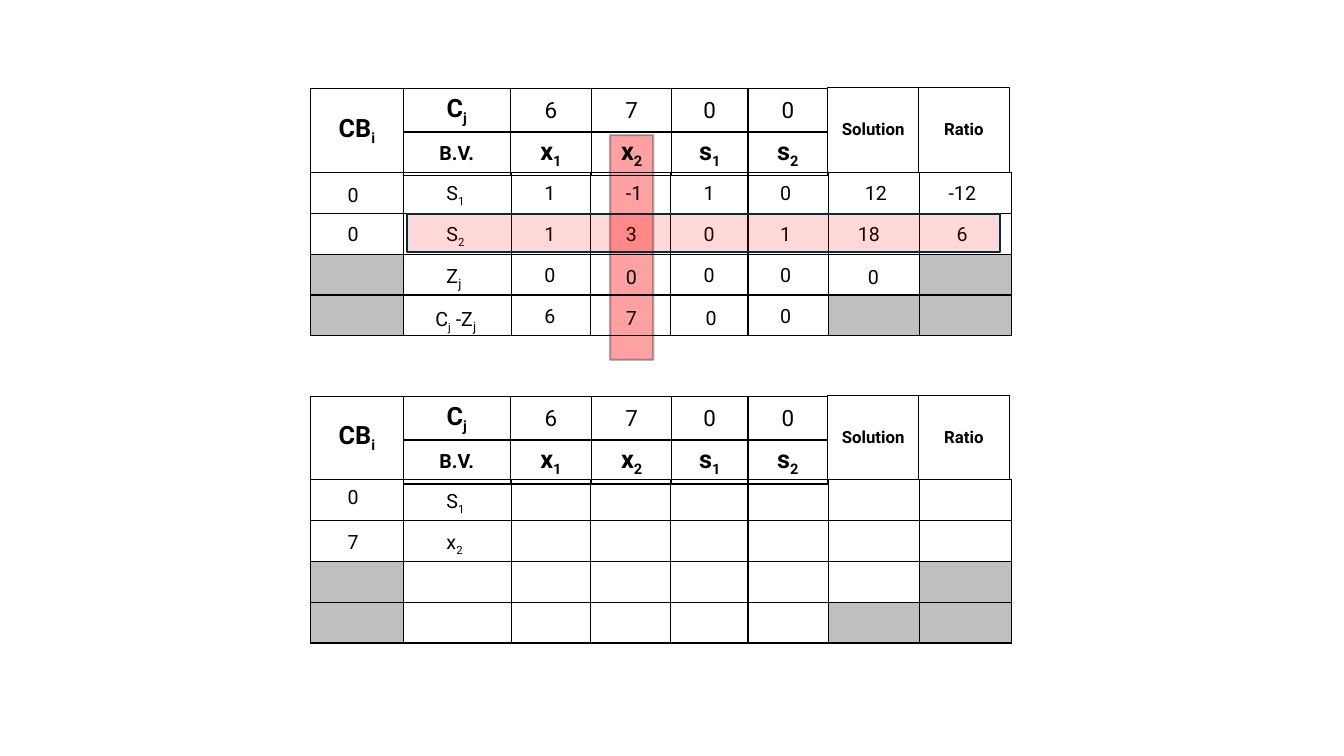
import pptx
import pptx.util
import pptx.dml.color
import pptx.enum.shapes
import pptx.enum.text
import pptx.oxml
import pptx.oxml.ns

# ---- Content: "_" lowers the next letter, "~" lowers it in the larger size ----
COSTS = ["C_j", "6", "7", "0", "0"]
BASIS = ["B.V.", "x_1", "x_2", "s_1", "s_2"]
CORNER = ["CB_i"]
RESULTS = ["Solution", "Ratio"]
SOLVED_ROWS = [
    ["0", "S_1", "1", "-1", "1", "0", "12", "-12"],
    ["0", "S_2", "1", "3", "0", "1", "18", "6"],
    ["", "Z~j", "0", "0", "0", "0", "0", ""],
    ["", "C_j -Z~j", "6", "7", "0", "0", "", ""],
]
NEXT_ROWS = [["0", "S_1"], ["7", "x_2"]]
SHADED = {(2, 0), (2, 7), (3, 0), (3, 6), (3, 7)}

THEME = {
    "font": "Roboto", "ink": "000000", "shade": "BFBFBF",
    "mark": "FF0000", "mark_line": "092A39",
    "symbol": 18, "cost": 16, "value": 14, "result": 12, "large_sub": 16,
    "border": 1, "mark_border": 1.5,
}

# ---- Grid, in inches ----
LEFT, FIRST_TOP, TABLEAU_STEP = 3.08, 0.88, 3.05
HEADER_COLUMNS = [1.06, 0.81, 0.79, 0.76, 0.79]
BODY_COLUMNS = [0.92, 1.07, 0.79, 0.79, 0.77, 0.8, 0.9, 0.91]
HEADER_LEFT, RESULT_LEFT, RESULT_COLUMN = 4, 8.21, 0.9
ROW, CORNER_ROW = 0.405, 0.83
VALUE_LEFTS = [3.35, 4.33, 5.3, 6.11, 6.88, 7.64, 8.48, 9.31]
VALUE_WIDTHS = [0.37, 0.49, 0.37, 0.37, 0.37, 0.37, 0.49, 0.49]
VALUE_HEIGHT, VALUE_DROP = 0.34, 0.04
# Shifts of single values: (row, column) -> (right, down)
SOLVED_SHIFTS = {(0, 0): (0, 0.02), (1, 6): (-0.07, 0), (1, 7): (0.08, 0),
                 (2, 1): (0, -0.02), (2, 3): (0, 0.02), (2, 6): (0.03, 0.02),
                 (3, 1): (-0.11, 0), (3, 3): (0, 0.02), (3, 4): (0.02, 0.02)}
NEXT_SHIFTS = {(0, 0): (0, -0.04)}

inches, points = pptx.util.Inches, pptx.util.Pt


def color(value):
    return pptx.dml.color.RGBColor.from_string(value)


def write_text(frame, text, size, bold=False, align=None):
    """Write one paragraph, turning marked letters into subscripts."""
    paragraph = frame.paragraphs[0]
    paragraph.alignment = align
    pieces, mark = [], ""
    for letter in text:
        if letter in "_~":
            mark = letter
        elif mark or not pieces or pieces[-1][1]:
            pieces.append([letter, mark])
            mark = ""
        else:
            pieces[-1][0] += letter
    for piece, mark in pieces:
        run = paragraph.add_run()
        run.text = piece
        run.font.name = THEME["font"]
        run.font.size = points(THEME["large_sub"] if mark == "~" else size)
        run.font.bold = bold
        run.font.color.rgb = color(THEME["ink"])
        if mark:
            run.font._element.set("baseline", "-25000")


def add_borders(cell):
    properties = cell._tc.get_or_add_tcPr()
    for index, side in enumerate(("lnL", "lnR", "lnT", "lnB")):
        properties.insert(index, pptx.oxml.parse_xml(
            f'<a:{side} {pptx.oxml.ns.nsdecls("a")} w="{points(THEME["border"])}">'
            f'<a:solidFill><a:srgbClr val="{THEME["ink"]}"/></a:solidFill></a:{side}>'))


def add_grid(slide, left, top, columns, row_height, rows=1, shaded=()):
    """Add a bordered table and return it."""
    table = slide.shapes.add_table(
        rows, len(columns), inches(left), inches(top),
        inches(sum(columns)), inches(rows * row_height)).table
    table.first_row = table.horz_banding = False
    for column, width in zip(table.columns, columns):
        column.width = inches(width)
    for row_index, row in enumerate(table.rows):
        row.height = inches(row_height)
        for column_index, cell in enumerate(row.cells):
            cell.vertical_anchor = pptx.enum.text.MSO_ANCHOR.MIDDLE
            if (row_index, column_index) in shaded:
                cell.fill.solid()
                cell.fill.fore_color.rgb = color(THEME["shade"])
            else:
                cell.fill.background()
            add_borders(cell)
    return table


def add_header(slide, labels, left, top, columns, row_height, sizes, bolds):
    table = add_grid(slide, left, top, columns, row_height)
    for cell, label, size, bold in zip(table.rows[0].cells, labels, sizes, bolds):
        write_text(cell.text_frame, label, size, bold=bold,
                   align=pptx.enum.text.PP_ALIGN.CENTER)


def add_tableau(slide, top, rows, shifts):
    """Add header tables, the body grid and its values."""
    symbol, value = THEME["symbol"], THEME["value"]
    add_header(slide, BASIS, HEADER_LEFT, top + 0.43, HEADER_COLUMNS, 0.41,
               [value] + [symbol] * 4, [True] * 5)
    add_header(slide, COSTS, HEADER_LEFT, top, HEADER_COLUMNS, 0.41,
               [symbol] + [THEME["cost"]] * 4, [True] + [False] * 4)
    add_header(slide, CORNER, LEFT, top, BODY_COLUMNS[:1], CORNER_ROW, [symbol], [True])
    add_header(slide, RESULTS, RESULT_LEFT, top - 0.01, [RESULT_COLUMN] * 2,
               CORNER_ROW + 0.01, [THEME["result"]] * 2, [True] * 2)
    body_top = top + CORNER_ROW
    add_grid(slide, LEFT, body_top, BODY_COLUMNS, ROW, rows=4, shaded=SHADED)
    for row_index, row in enumerate(rows):
        for column_index, text in enumerate(row):
            if not text:
                continue
            right, down = shifts.get((row_index, column_index), (0, 0))
            width = 0.65 if len(text) > 4 else VALUE_WIDTHS[column_index]
            box = slide.shapes.add_textbox(
                inches(VALUE_LEFTS[column_index] + right),
                inches(body_top + VALUE_DROP + row_index * ROW + down),
                inches(width), inches(VALUE_HEIGHT))
            box.text_frame.word_wrap = True
            box.text_frame.auto_size = pptx.enum.text.MSO_AUTO_SIZE.SHAPE_TO_FIT_TEXT
            write_text(box.text_frame, text, value)


def set_alpha(format_element, percent):
    solid = format_element.find(".//" + pptx.oxml.ns.qn("a:srgbClr"))
    solid.append(pptx.oxml.parse_xml(
        f'<a:alpha {pptx.oxml.ns.nsdecls("a")} val="{percent * 1000}"/>'))


def add_highlight(slide, left, top, width, height, fill_alpha, line_alpha=100):
    """Add a translucent pivot marker."""
    shape = slide.shapes.add_shape(
        pptx.enum.shapes.MSO_SHAPE.RECTANGLE,
        inches(left), inches(top), inches(width), inches(height))
    shape.shadow.inherit = False
    shape.fill.solid()
    shape.fill.fore_color.rgb = color(THEME["mark"])
    shape.line.color.rgb = color(THEME["mark_line"])
    shape.line.width = points(THEME["mark_border"])
    properties = shape._element.spPr
    set_alpha(properties.find(pptx.oxml.ns.qn("a:solidFill")), fill_alpha)
    set_alpha(properties.find(pptx.oxml.ns.qn("a:ln")), line_alpha)


def main():
    presentation = pptx.Presentation()
    presentation.slide_width = inches(13.33)
    presentation.slide_height = inches(7.5)
    slide = presentation.slides.add_slide(presentation.slide_layouts[6])

    # Pivot column, solved tableau, pivot row
    add_highlight(slide, 6.05, 1.34, 0.43, 2.23, 37, line_alpha=32)
    add_tableau(slide, FIRST_TOP, SOLVED_ROWS, SOLVED_SHIFTS)
    add_highlight(slide, 4.04, 2.12, 5.88, 0.38, 15)

    # Next tableau, still to be filled in
    add_tableau(slide, FIRST_TOP + TABLEAU_STEP, NEXT_ROWS, NEXT_SHIFTS)
    presentation.save("out.pptx")


if __name__ == "__main__":
    main()
